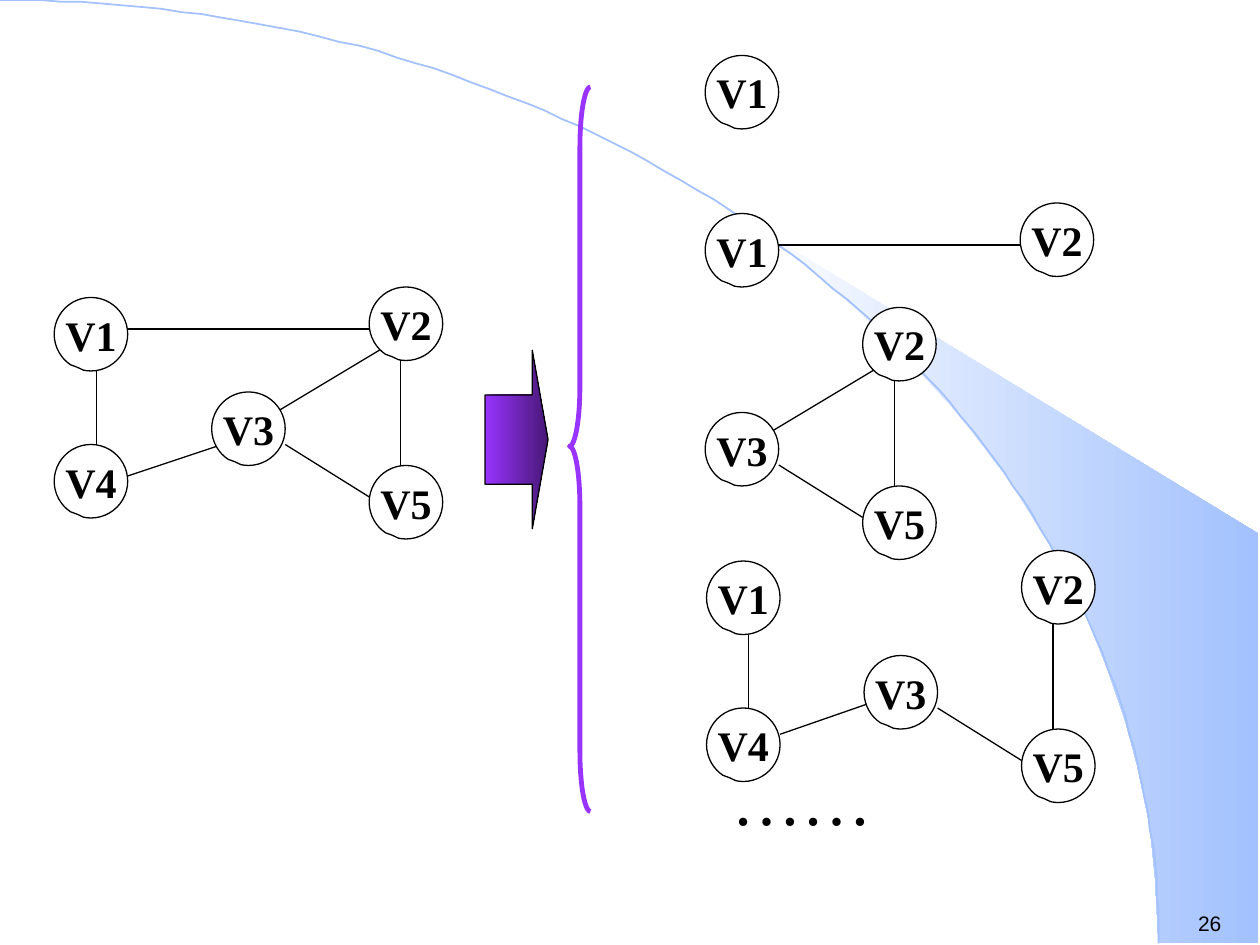
from math import cos, sin, pi

from lxml.etree import SubElement
from pptx import Presentation
from pptx.dml.color import RGBColor
from pptx.enum.shapes import MSO_CONNECTOR as CONN, MSO_SHAPE as SHAPE
from pptx.enum.text import MSO_ANCHOR as ANCHOR, PP_ALIGN as ALIGN
from pptx.oxml.ns import qn
from pptx.util import Pt

BLACK = RGBColor(0x00, 0x00, 0x00)
WHITE = RGBColor(0xFF, 0xFF, 0xFF)
SKY = RGBColor(0xA2, 0xC1, 0xFE)
VIOLET = RGBColor(0x99, 0x33, 0xFF)
DEEP_VIOLET = RGBColor(0x47, 0x18, 0x76)

NODE_FONT = {"name": "Times New Roman", "size": Pt(24), "bold": True}
DOTS_FONT = {"name": "Times New Roman", "size": Pt(40)}
NUMBER_FONT = {"name": "Arial", "size": Pt(12)}

NODE_SIZE = 42
NODES = {"V1": (0, 6), "V2": (180, 0), "V3": (90, 60), "V4": (0, 90), "V5": (180, 102)}
EDGES = {
    "V1-V4": (24, 48, 24, 96),
    "V1-V2": (42, 24, 180, 24),
    "V2-V5": (198, 42, 198, 108),
    "V5-V3": (180, 120, 132, 90),
    "V2-V3": (186, 36, 126, 72),
    "V3-V4": (96, 90, 42, 108),
    "V4-V3": (42, 105, 91, 88),
}
GRAPHS = [
    ((31, 164), "V5 V1 V2 V3 V4", "V1-V4 V1-V2 V2-V5 V5-V3 V2-V3 V3-V4"),
    ((403, 25.7), "V1", ""),
    ((403, 116), "V1 V2", "V1-V2"),
    ((313, 175.7), "V5 V2 V3", "V2-V5 V5-V3 V2-V3"),
    ((403.8, 314.6), "V5 V1 V2 V3 V4", "V1-V4 V2-V5 V5-V3 V4-V3"),
]
SWOOSH = [
    (662.4, 538.6), (719.3, 539.3), (719.3, 304.6), (424, 124.6), (449.3, 143.3),
    (470.2, 159.8), (493.2, 180), (515.5, 201.6), (548.6, 237.6), (578.2, 276.5),
    (599, 310.3), (617.8, 344.9), (632.2, 380.2), (643, 411.8), (650.2, 438.5),
    (657.4, 472.3), (660.2, 501.1),
]


def set_text(sp, text, font):
    p = sp.text_frame.paragraphs[0]
    r = p.add_run()
    r.text = text
    for key, value in font.items():
        setattr(r.font, key, value)
    r.font.color.rgb = BLACK
    return p


def set_line(sp, color, width):
    sp.line.color.rgb = color
    sp.line.width = Pt(width)


def set_gradient(sp, start, end):
    sp.fill.gradient()
    sp.fill.gradient_angle = 0
    for stop, color, position in zip(sp.fill.gradient_stops, (start, end), (0, 1)):
        stop.color.rgb = color
        stop.position = position


def add_preset(s, kind, box, adjustments):
    sp = s.shapes.add_shape(kind, *map(Pt, box))
    sp.shadow.inherit = False
    for i, value in enumerate(adjustments):
        sp.adjustments[i] = value
    return sp


def add_outline(s, points, close):
    fb = s.shapes.build_freeform(*points[0], scale=Pt(1))
    fb.add_line_segments(points[1:], close=close)
    sp = fb.convert_to_shape()
    sp.shadow.inherit = False
    return sp


def add_text(s, box, text, font):
    sp = s.shapes.add_textbox(*map(Pt, box))
    sp.text_frame.word_wrap = True
    set_text(sp, text, font)


def add_background(s, box):
    x, y, w, h = box
    swoosh = add_outline(s, [(x + px, y + py) for px, py in SWOOSH], True)
    set_gradient(swoosh, WHITE, SKY)
    swoosh.line.fill.background()
    steps = 90
    angles = [i * pi / 2 / steps for i in range(steps + 1)]
    arc = add_outline(s, [(x + w * sin(a), y + h * (1 - cos(a))) for a in angles], False)
    arc.fill.background()
    set_line(arc, SKY, 1)


def add_node(s, x, y, name):
    sp = add_preset(s, SHAPE.OVAL_CALLOUT, (x, y, NODE_SIZE, NODE_SIZE), (-0.188, 0.449))
    sp.fill.solid()
    sp.fill.fore_color.rgb = WHITE
    set_line(sp, BLACK, 0.75)
    tf = sp.text_frame
    tf.word_wrap = False
    tf.vertical_anchor = ANCHOR.MIDDLE
    set_text(sp, name, NODE_FONT).alignment = ALIGN.CENTER


def add_graph(s, origin, nodes, edges):
    x, y = origin
    for edge in edges.split():
        x1, y1, x2, y2 = EDGES[edge]
        ends = map(Pt, (x + x1, y + y1, x + x2, y + y2))
        line = s.shapes.add_connector(CONN.STRAIGHT, *ends)
        set_line(line, BLACK, 0.75)
        SubElement(line._element.spPr, qn("a:effectLst"))
    for name in nodes.split():
        dx, dy = NODES[name]
        add_node(s, x + dx, y + dy, name)


def add_brace(s, box):
    sp = add_preset(s, SHAPE.LEFT_BRACE, box, (2.875, 0.496))
    sp.fill.background()
    set_line(sp, VIOLET, 2.75)


def add_arrow(s, box):
    sp = add_preset(s, SHAPE.RIGHT_ARROW, box, (0.5, 0.25))
    set_gradient(sp, VIOLET, DEEP_VIOLET)
    set_line(sp, BLACK, 0.75)


def main():
    prs = Presentation()
    prs.slide_width, prs.slide_height = Pt(720), Pt(540)
    s = prs.slides.add_slide(prs.slide_layouts[6])
    add_background(s, (0, 0, 662.4, 539.3))
    add_text(s, (677.5, 517, 42.5, 21.6), "26", NUMBER_FONT)
    add_text(s, (411, 428.4, 162, 55.4), "……", DOTS_FONT)
    add_brace(s, (325.4, 49.7, 12, 414))
    add_arrow(s, (277.2, 200.2, 36, 102))
    for origin, nodes, edges in GRAPHS:
        add_graph(s, origin, nodes, edges)
    prs.save("out.pptx")


if __name__ == "__main__":
    main()
